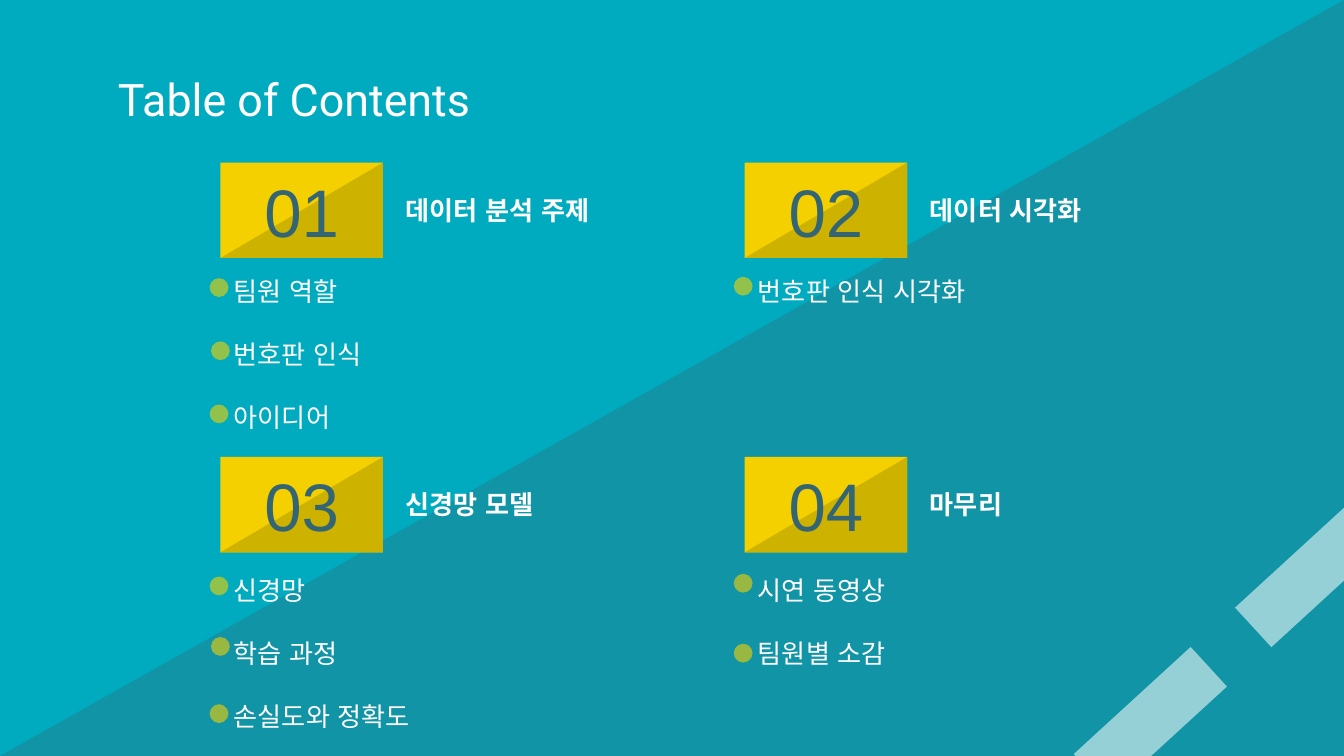
from lxml import etree
from pptx import Presentation
from pptx.dml.color import RGBColor
from pptx.enum import shapes, text
from pptx.oxml import ns
from pptx.util import Inches, Pt

RECTANGLE = shapes.MSO_SHAPE.RECTANGLE
TRIANGLE = shapes.MSO_SHAPE.RIGHT_TRIANGLE
OVAL = shapes.MSO_SHAPE.OVAL
WIDTH, HEIGHT = 10, 5.625
BADGE_WIDTH, BADGE_HEIGHT = 1.21, 0.71
DOT = 0.14

# number, heading, left, top, list top, items as (text, dot left, dot top)
SECTIONS = [
    ("01", "데이터 분석 주제", 1.64, 1.21, 1.94,
     [("팀원 역할", 1.56, 2.07), ("번호판 인식", 1.57, 2.54), ("아이디어", 1.56, 3.01)]),
    ("02", "데이터 시각화", 5.54, 1.21, 1.94,
     [("번호판 인식 시각화", 5.46, 2.06)]),
    ("03", "신경망 모델", 1.64, 3.4, 4.16,
     [("신경망", 1.56, 4.29), ("학습 과정", 1.57, 4.74), ("손실도와 정확도", 1.56, 5.24)]),
    ("04", "마무리", 5.54, 3.4, 4.16,
     [("시연 동영상", 5.46, 4.27), ("팀원별 소감", 5.46, 4.79)]),
]


def color(value):
    return RGBColor.from_string(value)


class Deck:
    def __init__(self, background):
        self.presentation = Presentation()
        self.presentation.slide_width = Inches(WIDTH)
        self.presentation.slide_height = Inches(HEIGHT)
        self.slide = self.presentation.slides.add_slide(self.presentation.slide_layouts[6])
        fill = self.slide.background.fill
        fill.solid()
        fill.fore_color.rgb = color(background)

    def shape(self, kind, left, top, width, height, fill, opacity=100, rotation=0, flip=False):
        shape = self.slide.shapes.add_shape(
            kind, Inches(left), Inches(top), Inches(width), Inches(height))
        shape.shadow.inherit = False
        shape.line.fill.background()
        shape.fill.solid()
        shape.fill.fore_color.rgb = color(fill)
        shape.rotation = rotation
        if opacity < 100:
            srgb = shape.fill._xPr.find(".//" + ns.qn("a:srgbClr"))
            etree.SubElement(srgb, ns.qn("a:alpha"), val=str(opacity * 1000))
        if flip:
            shape._element.spPr.xfrm.set("flipH", "1")
        return shape

    def text(self, lines, left, top, width, height, size=14, fill="FFFFFF", font="Arial",
             bold=False, centered=False, anchor=text.MSO_ANCHOR.MIDDLE, spacing=None):
        """Add one paragraph per line; spacing holds the first and later line heights."""
        box = self.slide.shapes.add_textbox(
            Inches(left), Inches(top), Inches(width), Inches(height))
        frame = box.text_frame
        frame.word_wrap = True
        frame.vertical_anchor = anchor
        frame.margin_left = frame.margin_right = Inches(0.1)
        frame.margin_top = frame.margin_bottom = Inches(0.1)
        for index, line in enumerate(lines):
            paragraph = frame.add_paragraph() if index else frame.paragraphs[0]
            if centered:
                paragraph.alignment = text.PP_ALIGN.CENTER
            if spacing:
                paragraph.line_spacing = Pt(spacing[min(index, 1)])
            run = paragraph.add_run()
            run.text = line
            run.font.size = Pt(size)
            run.font.bold = bold
            run.font.color.rgb = color(fill)
            run.font.name = font
            etree.SubElement(run.font._element, ns.qn("a:ea"), typeface=font)

    def badge(self, number, left, top):
        place = (left, top, BADGE_WIDTH, BADGE_HEIGHT)
        self.shape(RECTANGLE, *place, "F4D000")
        self.shape(TRIANGLE, *place, "CEB200", flip=True)
        self.text([number], *place, size=36, fill="336574", centered=True)

    def section(self, number, heading, left, top, list_top, items):
        self.badge(number, left, top)
        self.text([heading], left + 1.28, top, 1.8, 0.7, bold=True)
        self.text([item[0] for item in items], left, list_top, 2.83, 0.7,
                  anchor=text.MSO_ANCHOR.TOP, spacing=(17.6, 33.75))
        for _, dot_left, dot_top in items:
            self.shape(OVAL, dot_left, dot_top, DOT, DOT, "F4D000", opacity=60)


def main():
    deck = Deck("00ABBF")
    deck.shape(TRIANGLE, 0, 0, WIDTH, HEIGHT, "336574", opacity=32, flip=True)
    for left, top in ((7.97, 5.16), (9.17, 4.07)):
        deck.shape(RECTANGLE, left, top, 1.18, 0.4, "FFFFFF", opacity=56, rotation=317.5)
    deck.text(["Table of Contents"], 0.78, 0.42, 8.44, 0.63, size=24, font="Roboto")
    for section in SECTIONS:
        deck.section(*section)
    deck.presentation.save("out.pptx")


if __name__ == "__main__":
    main()
